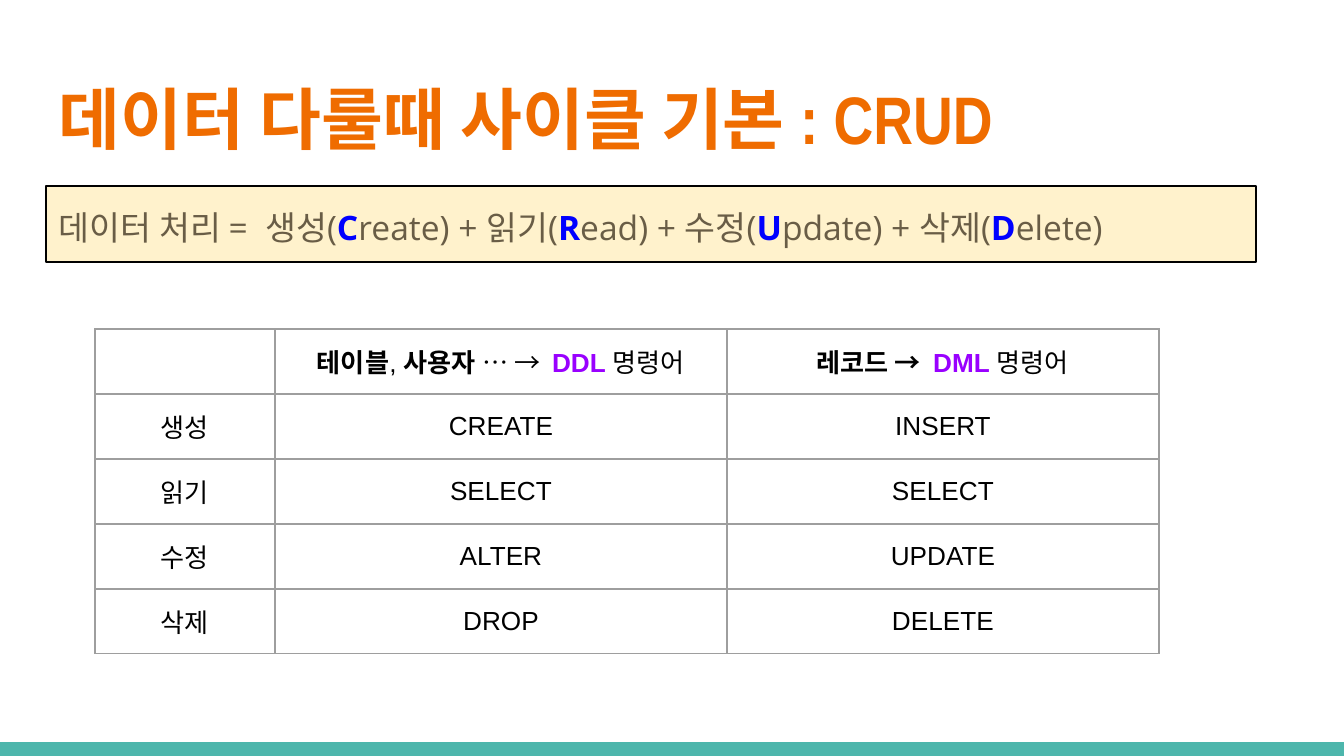
import pptx
import pptx.util
import pptx.dml.color
import pptx.enum.shapes
import pptx.enum.text
import pptx.oxml

PX = 6804
INK = {
    "teal": "4DB6AC", "orange": "EF6C00", "cream": "FFF2CC", "black": "000000",
    "brown": "695D46", "blue": "0000FF", "purple": "9900FF", "grey": "9E9E9E",
}
Pt = pptx.util.Pt
MID = pptx.enum.text.MSO_ANCHOR.MIDDLE
RECT = pptx.enum.shapes.MSO_SHAPE.RECTANGLE


def tint(name):
    return pptx.dml.color.RGBColor.from_string(INK[name])


def write(frame, runs, face, size):
    frame.word_wrap = True
    line = frame.paragraphs[0]
    line.font.name = face
    line.font.size = Pt(size)
    for text, color, bold in runs:
        run = line.add_run()
        run.text = text
        run.font.color.rgb = tint(color)
        run.font.bold = bold
    return line


deck = pptx.Presentation()
deck.slide_width = 1344 * PX
deck.slide_height = 756 * PX
slide = deck.slides.add_slide(deck.slide_layouts[6])
shapes = slide.shapes

strip = shapes.add_shape(RECT, 0, 742 * PX, 1344 * PX, 14 * PX)
strip.shadow.inherit = False
strip.fill.solid()
strip.fill.fore_color.rgb = tint("teal")
strip.line.fill.background()

title = shapes.add_textbox(46 * PX, 66 * PX, 1252 * PX, 103 * PX)
write(title.text_frame, [("데이터 다룰때 사이클 기본 : CRUD", "orange", True)], "Arial Narrow", 36)

box = shapes.add_shape(RECT, 46 * PX, 186 * PX, 1210 * PX, 76 * PX)
box.shadow.inherit = False
box.fill.solid()
box.fill.fore_color.rgb = tint("cream")
box.line.color.rgb = tint("black")
box.line.width = Pt(0.75)
runs = [("데이터 처리 =  생성(", "brown", False)]
for key, rest in [("C", "reate) + 읽기("), ("R", "ead) + 수정("), ("U", "pdate) + 삭제("), ("D", "elete)")]:
    runs += [(key, "blue", True), (rest, "brown", False)]
line = write(box.text_frame, runs, "Open Sans", 18)
line.alignment = pptx.enum.text.PP_ALIGN.LEFT
line.line_spacing = 1.15

for shape in (title, box):
    frame = shape.text_frame
    frame.vertical_anchor = MID
    frame.margin_left = frame.margin_right = frame.margin_top = frame.margin_bottom = 13 * PX

head = [
    [],
    [("테이블", "black", True), (", ", "black", False), ("사용자 ", "black", True),
     ("… →  ", "black", False), ("DDL ", "purple", True), ("명령어", "black", False)],
    [("레코드 →  ", "black", True), ("DML ", "purple", True), ("명령어", "black", False)],
]
body = [
    ("생성", "CREATE", "INSERT"),
    ("읽기", "SELECT", "SELECT"),
    ("수정", "ALTER", "UPDATE"),
    ("삭제", "DROP", "DELETE"),
]
rows = [head] + [[[(word, "black", False)] for word in words] for words in body]

grid = shapes.add_table(5, 3, 95 * PX, 329 * PX, 1064 * PX, 325 * PX).table
grid.first_row = False
grid.horz_banding = False
for col, width in zip(grid.columns, (180, 452, 432)):
    col.width = width * PX
for row in grid.rows:
    row.height = 65 * PX

for r, row in enumerate(rows):
    for c, runs in enumerate(row):
        cell = grid.cell(r, c)
        cell.fill.background()
        cell.vertical_anchor = MID
        cell.margin_left = cell.margin_right = cell.margin_top = cell.margin_bottom = 13 * PX
        line = write(cell.text_frame, runs, "Arial", 14)
        line.alignment = pptx.enum.text.PP_ALIGN.CENTER
        props = cell._tc.get_or_add_tcPr()
        for i, side in enumerate(("lnL", "lnR", "lnT", "lnB")):
            edge = pptx.oxml.parse_xml(
                f'<a:{side} xmlns:a="http://schemas.openxmlformats.org/drawingml/2006/main" w="{Pt(0.75)}">'
                f'<a:solidFill><a:srgbClr val="{INK["grey"]}"/></a:solidFill></a:{side}>'
            )
            props.insert(i, edge)

deck.save("out.pptx")
